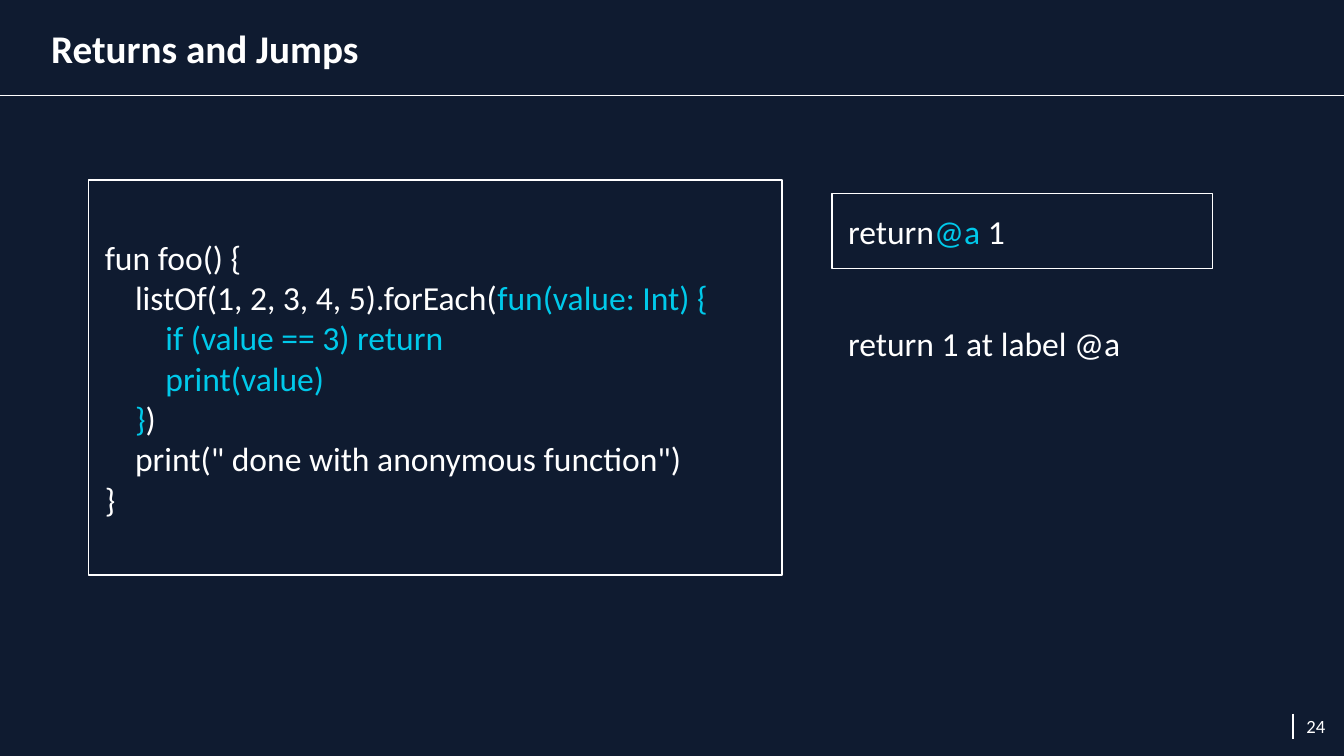
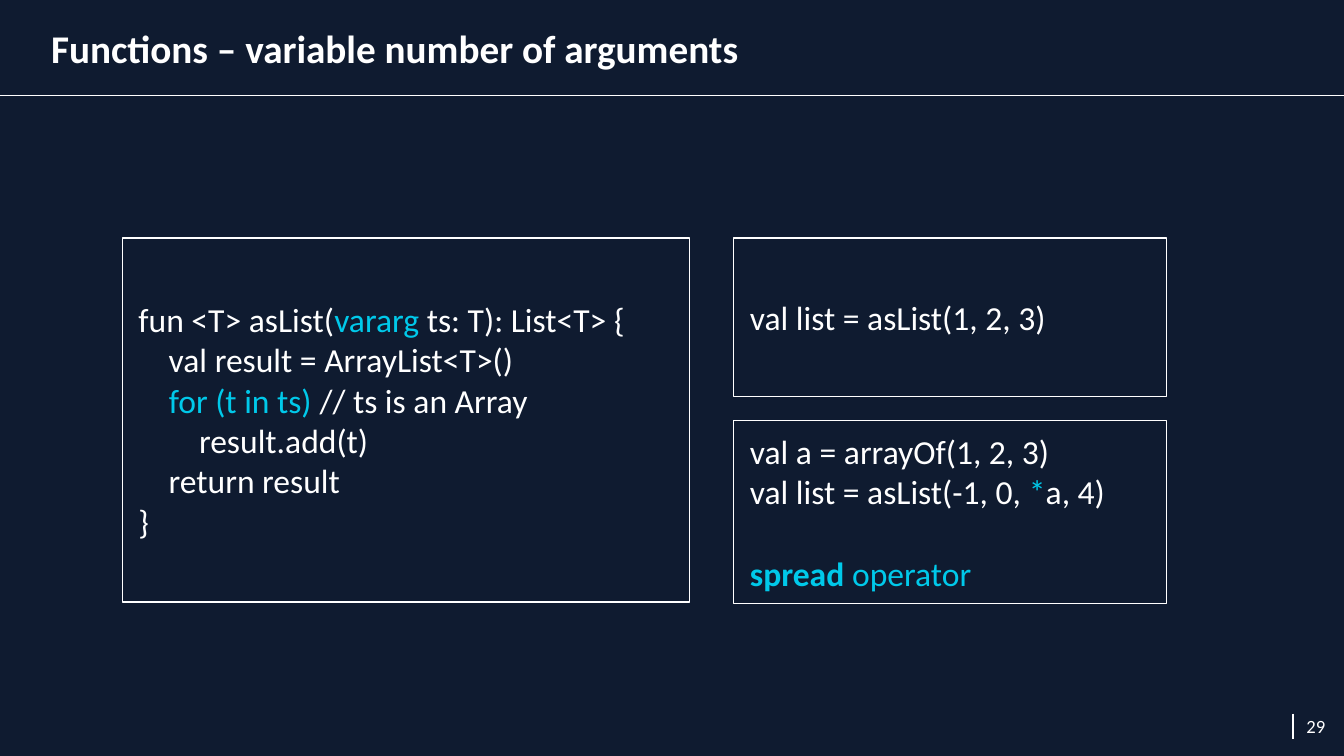
from lxml.etree import SubElement
from pptx import Presentation
from pptx.dml.color import RGBColor
from pptx.enum.shapes import MSO_CONNECTOR as Connector, MSO_SHAPE as Shape
from pptx.enum.text import MSO_ANCHOR as Anchor, MSO_AUTO_SIZE as AutoSize, PP_ALIGN as Align
from pptx.oxml.ns import qn
from pptx.util import Inches, Pt

TITLE_AND_BODY, TITLE_ONLY = 1, 5


def color(hex_value):
    return RGBColor.from_string(hex_value)


def accent(text, bold=False):
    """Return a run in the highlight colour."""
    return text, Deck.ACCENT, bold


def place(shape, left, top, width, height):
    shape.left, shape.top = Inches(left), Inches(top)
    shape.width, shape.height = Inches(width), Inches(height)


def write(frame, lines, size=18, bold=False, align=Align.LEFT, anchor=Anchor.MIDDLE,
          inset=0, indent=0, gaps=None):
    """Fill a frame; a line is a string or a list of strings and accent runs.

    gaps maps a line index to the points of space before it.
    """
    frame.word_wrap = True
    frame.auto_size = AutoSize.NONE
    frame.vertical_anchor = anchor
    frame.margin_left = frame.margin_right = Inches(inset)
    frame.margin_top = frame.margin_bottom = Inches(inset)
    for index, line in enumerate(lines):
        paragraph = frame.paragraphs[0] if index == 0 else frame.add_paragraph()
        properties = paragraph._p.get_or_add_pPr()
        properties.set("marL", str(Inches(indent)))
        properties.set("indent", "0")
        SubElement(properties, qn("a:buNone"))
        paragraph.alignment = align
        paragraph.space_before = Pt((gaps or {}).get(index, 0))
        for part in [line] if isinstance(line, str) else line:
            text, ink, strong = (part, Deck.INK, bold) if isinstance(part, str) else part
            run = paragraph.add_run()
            run.text = text
            run.font.name = Deck.FONT
            run.font.size = Pt(size)
            run.font.bold = strong
            run.font.color.rgb = color(ink)


class Deck:
    BACKGROUND, INK, ACCENT = "0F1B30", "FFFFFF", "00C9EA"
    FONT = "Calibri"
    WIDTH = 10
    HEIGHT = WIDTH * 9 / 16
    HEADER = 0.71
    LINE = 0.75
    INDENT = 0.12

    def __init__(self):
        self.presentation = Presentation()
        self.presentation.slide_width = Inches(self.WIDTH)
        self.presentation.slide_height = Inches(self.HEIGHT)
        fill = self.presentation.slide_master.background.fill
        fill.solid()
        fill.fore_color.rgb = color(self.BACKGROUND)
        self.slide = None

    def add_slide(self, title, number, layout=TITLE_ONLY):
        self.slide = self.presentation.slides.add_slide(
            self.presentation.slide_layouts[layout])
        self.page_number(number)
        self.rule(9.62, 5.31, 9.62, 5.5)
        self.rule(0, self.HEADER, self.WIDTH, self.HEADER)
        heading = self.slide.shapes.title
        place(heading, 0.38, 0, 9.25, self.HEADER)
        write(heading.text_frame, [title], size=21, bold=True)

    def page_number(self, number):
        box = self.slide.shapes.add_textbox(
            Inches(9.5), Inches(5.19), Inches(0.46), Inches(0.43))
        write(box.text_frame, [str(number)], size=10, align=Align.RIGHT, inset=0.1)

    def rule(self, x1, y1, x2, y2):
        line = self.slide.shapes.add_connector(
            Connector.STRAIGHT, Inches(x1), Inches(y1), Inches(x2), Inches(y2))
        line.line.color.rgb = color(self.INK)
        line.line.width = Pt(self.LINE)
        SubElement(line._element.spPr, qn("a:effectLst"))

    def code(self, lines, left, top, width, height, gaps=None):
        """Add an outlined box of code."""
        box = self.slide.shapes.add_shape(
            Shape.RECTANGLE, Inches(left), Inches(top), Inches(width), Inches(height))
        box.shadow.inherit = False
        box.fill.background()
        box.line.color.rgb = color(self.INK)
        box.line.width = Pt(self.LINE)
        write(box.text_frame, lines, indent=self.INDENT, gaps=gaps)

    def body(self, lines, left, top, width, height):
        body = self.slide.placeholders[1]
        place(body, left, top, width, height)
        write(body.text_frame, lines, anchor=Anchor.TOP, indent=self.INDENT)

    def save(self):
        self.presentation.save("out.pptx")


def returns_and_jumps(deck):
    deck.add_slide("Returns and Jumps", 24, TITLE_AND_BODY)
    deck.code([
        "fun foo() {",
        ["    listOf(1, 2, 3, 4, 5).forEach(", accent("fun(value: Int) {")],
        [accent("        if (value == 3) return")],
        [accent("        print(value)")],
        [accent("    }"), ")"],
        '    print(" done with anonymous function")',
        "}",
    ], 0.66, 1.34, 5.16, 2.94)
    label_left = 6.19
    deck.code([["return", accent("@a"), " 1"]], label_left, 1.44, 2.83, 0.56)
    deck.body(["return 1 at label @a"], label_left, 2.4, 3.15, 2.36)


def variable_arguments(deck):
    deck.add_slide("Functions – variable number of arguments", 29)
    top, call_left, call_width = 1.77, 5.46, 3.22
    deck.code([
        "val a = arrayOf(1, 2, 3)",
        ["val list = asList(-1, 0, ", accent("*"), "a, 4)"],
        [accent("spread", bold=True), accent(" operator")],
    ], call_left, 3.13, call_width, 1.36, gaps={2: 22})
    deck.code([
        ["fun <T> asList(", accent("vararg "), "ts: T): List<T> {"],
        "    val result = ArrayList<T>()",
        ["    ", accent("for (t in ts) "), "// ts is an Array"],
        "        result.add(t)",
        "    return result",
        "}",
    ], 0.91, top, 4.22, 2.71)
    deck.code(["val list = asList(1, 2, 3)"], call_left, top, call_width, 1.18)


def main():
    deck = Deck()
    returns_and_jumps(deck)
    variable_arguments(deck)
    deck.save()


if __name__ == "__main__":
    main()
